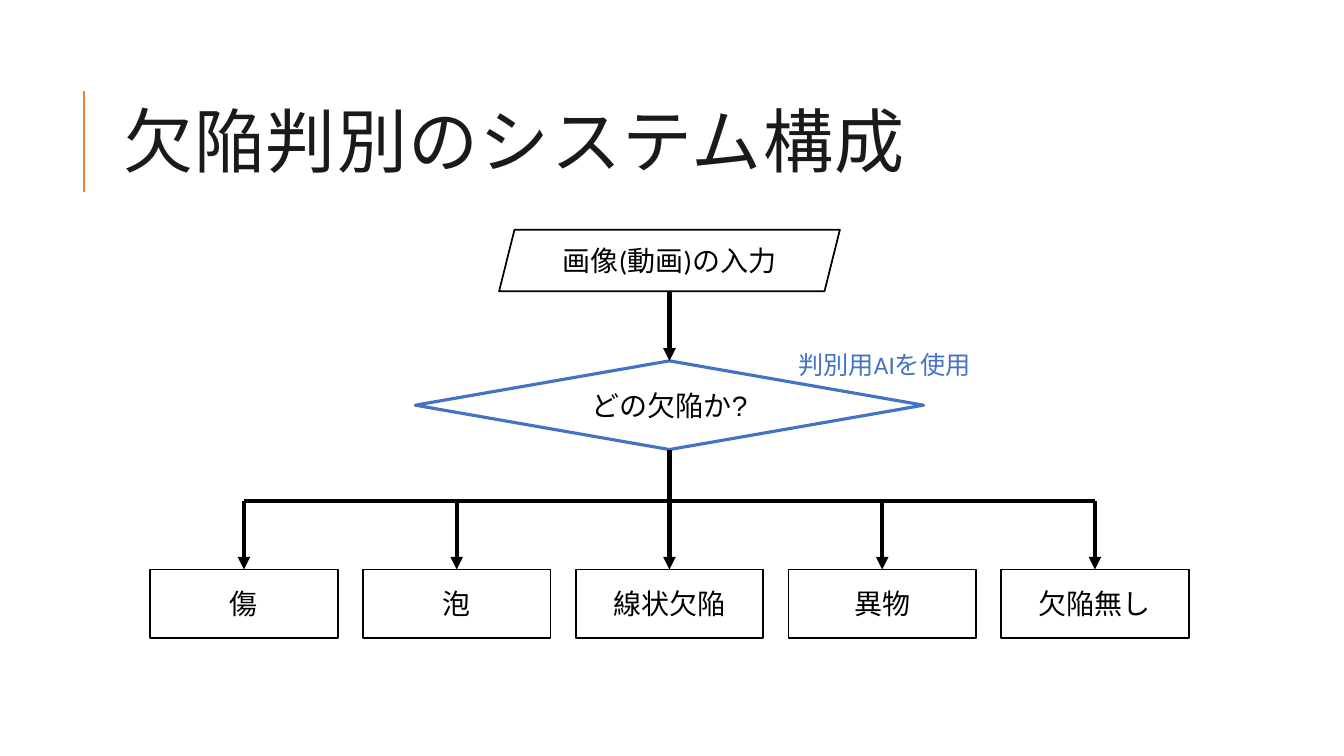
from dataclasses import dataclass

from lxml import etree
from pptx import Presentation
from pptx import util as u
from pptx.dml import color
from pptx.enum import shapes, text
from pptx.oxml import ns


@dataclass(frozen=True)
class Theme:
    ink: str = "000000"
    title: str = "1A1A1A"
    accent: str = "4472C4"
    rule: str = "ED7D31"
    paper: str = "FFFFFF"
    font: str = "Calibri"
    question_font: str = "Arial"
    title_size: int = 50
    node_size: int = 20
    note_size: int = 18


@dataclass(frozen=True)
class Box:
    left: float
    top: float
    width: float
    height: float

    @property
    def middle(self):
        return self.left + self.width / 2

    @property
    def bottom(self):
        return self.top + self.height

    def lengths(self):
        return [u.Inches(v) for v in (self.left, self.top, self.width, self.height)]


THEME = Theme()
TOP, BOTTOM = 0, 2
DEFECTS = ["傷", "泡", "線状欠陥", "異物", "欠陥無し"]


def rgb(value):
    return color.RGBColor.from_string(value)


def write(shape, words, size, ink, font=THEME.font, align=text.PP_ALIGN.LEFT):
    frame = shape.text_frame
    frame.text = words
    frame.word_wrap = True
    para = frame.paragraphs[0]
    para.alignment = align
    span = para.runs[0]
    span.font.size = u.Pt(size)
    span.font.name = font
    span.font.color.rgb = rgb(ink)
    return para


def add_line(page, start, end, ink=THEME.ink, weight=3.0, arrow=False):
    line = page.shapes.add_connector(
        shapes.MSO_CONNECTOR.STRAIGHT, *[u.Inches(v) for v in (*start, *end)])
    line.line.color.rgb = rgb(ink)
    line.line.width = u.Pt(weight)
    if arrow:
        etree.SubElement(line.line._get_or_add_ln(), ns.qn("a:tailEnd"), type="triangle")
    etree.SubElement(line._element.spPr, ns.qn("a:effectLst"))
    return line


def add_node(page, kind, box, words, outline=THEME.ink, weight=1.25, font=THEME.font):
    node = page.shapes.add_shape(kind, *box.lengths())
    node.shadow.inherit = False
    node.fill.solid()
    node.fill.fore_color.rgb = rgb(THEME.paper)
    node.line.color.rgb = rgb(outline)
    node.line.width = u.Pt(weight)
    write(node, words, THEME.node_size, THEME.ink, font, text.PP_ALIGN.CENTER)
    node.text_frame.vertical_anchor = text.MSO_ANCHOR.MIDDLE
    return node


def add_heading(page, box, words):
    rule_x = box.left - 0.29
    add_line(page, (rule_x, box.top + 0.26), (rule_x, box.top + 1.26), THEME.rule, 1.5)
    title = page.shapes.title
    title.left, title.top, title.width, title.height = box.lengths()
    para = write(title, words, THEME.title_size, THEME.title)
    para.line_spacing = 0.8
    para.runs[0].font._element.set("spc", "100")
    title.text_frame.vertical_anchor = text.MSO_ANCHOR.MIDDLE


def add_decision(page, box):
    entry_box = Box(box.middle - 1.69, box.top, 3.38, 0.61)
    question_box = Box(box.middle - 2.52, box.top + 1.3, 5.04, 0.88)
    add_node(page, shapes.MSO_SHAPE.PARALLELOGRAM, entry_box, "画像(動画)の入力")
    question = add_node(page, shapes.MSO_SHAPE.DIAMOND, question_box, "どの欠陥か?",
                        THEME.accent, 2.25, THEME.question_font)
    arrow = add_line(page, (box.middle, entry_box.bottom),
                     (box.middle, question_box.top), arrow=True)
    arrow.end_connect(question, TOP)
    note_box = Box(question_box.left + 3.7, question_box.top - 0.16, 2.83, 0.4)
    note = page.shapes.add_textbox(*note_box.lengths())
    write(note, "判別用AIを使用", THEME.note_size, THEME.accent)
    note.text_frame.auto_size = text.MSO_AUTO_SIZE.SHAPE_TO_FIT_TEXT
    return question


def add_outcomes(page, box, question, labels):
    width, height = 1.86, 0.68
    pitch = (box.width - width) / (len(labels) - 1)
    first = box.left + width / 2
    last = first + pitch * (len(labels) - 1)
    stem = add_line(page, (box.middle, box.top - 0.51), (box.middle, box.top))
    stem.begin_connect(question, BOTTOM)
    add_line(page, (first, box.top), (last, box.top), weight=2.25)
    for index, label in enumerate(labels):
        outcome_box = Box(box.left + index * pitch, box.bottom - height, width, height)
        outcome = add_node(page, shapes.MSO_SHAPE.RECTANGLE, outcome_box, label)
        arrow = add_line(page, (outcome_box.middle, box.top),
                         (outcome_box.middle, outcome_box.top), arrow=True)
        arrow.end_connect(outcome, TOP)


def main():
    deck = Presentation()
    deck.slide_width, deck.slide_height = u.Inches(13.33), u.Inches(7.5)
    page = deck.slides.add_slide(deck.slide_layouts[5])
    add_heading(page, Box(1.12, 0.64, 11.08, 1.64), "欠陥判別のシステム構成")
    question = add_decision(page, Box(4.12, 2.28, 5.04, 2.18))
    add_outcomes(page, Box(1.49, 4.97, 10.3, 1.36), question, DEFECTS)
    deck.save("out.pptx")


if __name__ == "__main__":
    main()
